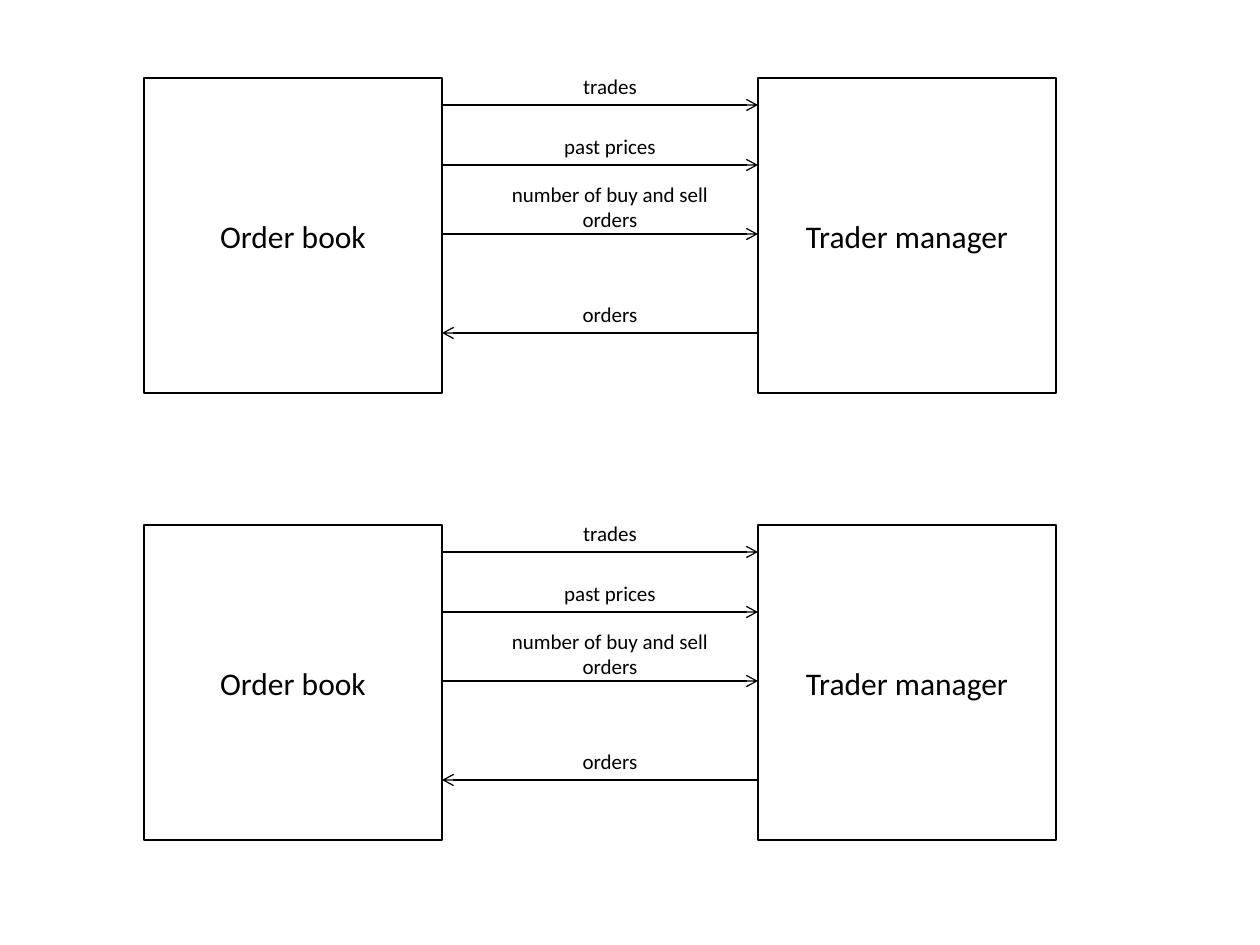
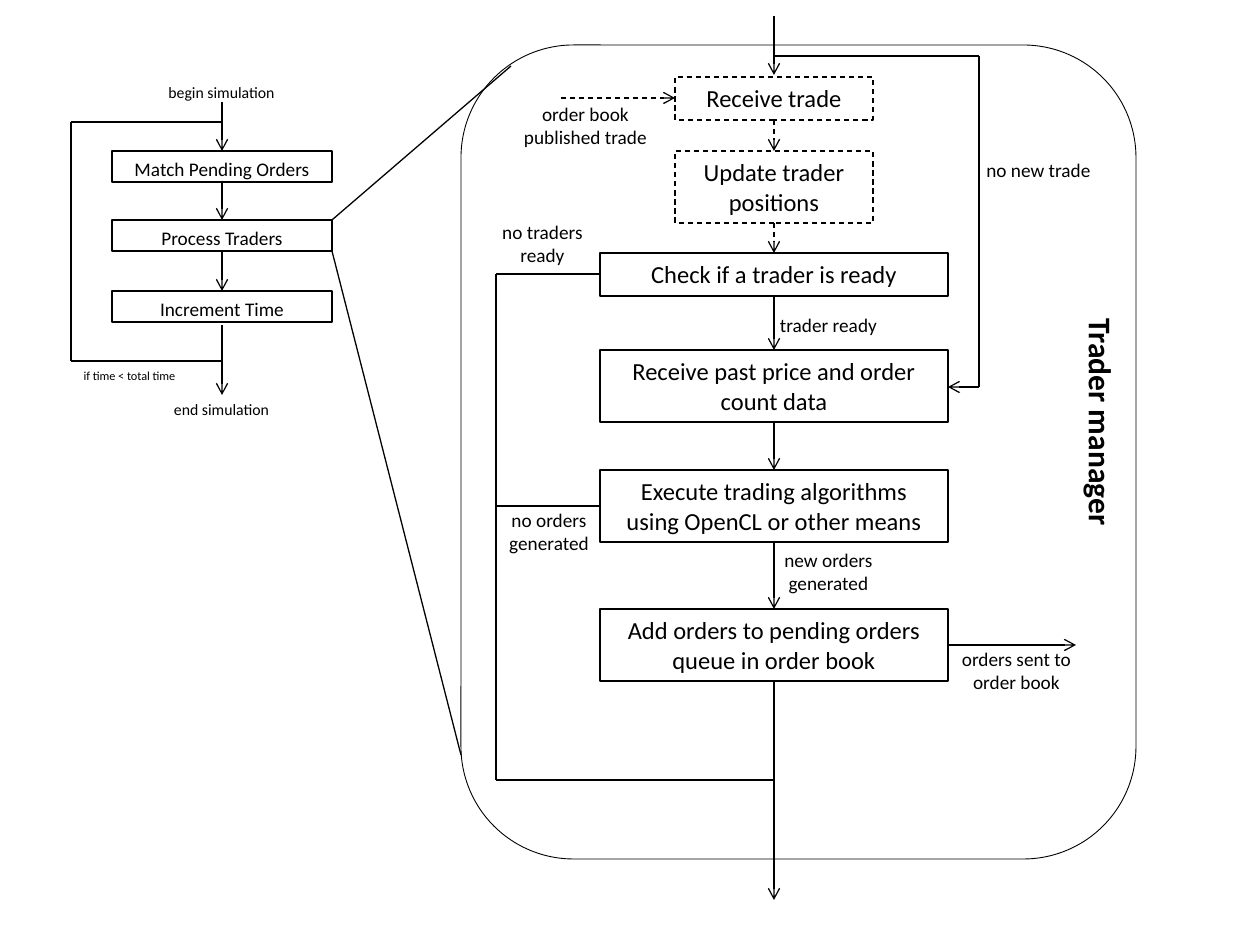
from itertools import pairwise

from lxml.etree import SubElement
from pptx import Presentation
from pptx.dml.color import RGBColor
from pptx.enum.dml import MSO_LINE
from pptx.enum.shapes import MSO_CONNECTOR, MSO_SHAPE
from pptx.enum.text import MSO_ANCHOR, PP_ALIGN
from pptx.oxml.ns import qn
from pptx.util import Emu, Pt

SCALE = 914400 / 126  # EMU in one px
INK = "000000"
PAPER = "FFFFFF"
FONT = "Calibri"


def px(n):
    return Emu(round(n * SCALE))


def color(code):
    return RGBColor.from_string(code)


class Pen:
    """Draws black outlines and Calibri text on the current slide."""

    def __init__(self, deck):
        self.deck = deck
        self.shapes = None

    def page(self):
        slide = self.deck.slides.add_slide(self.deck.slide_layouts[6])
        slide.background.fill.solid()
        slide.background.fill.fore_color.rgb = color(PAPER)
        self.shapes = slide.shapes

    def ink(self, line, width=0.75, dash=False):
        line.color.rgb = color(INK)
        line.width = Pt(width)
        if dash:
            line.dash_style = MSO_LINE.DASH

    def letter(self, shape, text, size, anchor, align=PP_ALIGN.CENTER, bold=False):
        frame = shape.text_frame
        frame.word_wrap = True
        frame.vertical_anchor = anchor
        para = frame.paragraphs[0]
        para.text = text
        para.alignment = align
        font = para.font
        font.name, font.size, font.bold = FONT, Pt(size), bold
        font.color.rgb = color(INK)

    def frame(self, x, y, w, h, kind=MSO_SHAPE.RECTANGLE, width=0.75, dash=False):
        shape = self.shapes.add_shape(kind, px(x), px(y), px(w), px(h))
        shape.shadow.inherit = False
        shape.fill.background()
        self.ink(shape.line, width, dash)
        return shape

    def box(self, x, y, w, h, text, size, anchor=MSO_ANCHOR.TOP, dash=False):
        self.letter(self.frame(x, y, w, h, dash=dash), text, size, anchor)

    def label(self, x, y, w, h, text, size, turn=0, **style):
        shape = self.shapes.add_textbox(px(x), px(y), px(w), px(h))
        shape.rotation = turn
        self.letter(shape, text, size, MSO_ANCHOR.TOP, **style)

    def line(self, start, end, head=False, dash=False):
        link = self.shapes.add_connector(
            MSO_CONNECTOR.STRAIGHT, *map(px, start), *map(px, end))
        self.ink(link.line, dash=dash)
        props = link._element.spPr
        if head:
            SubElement(props.find(qn("a:ln")), qn("a:tailEnd"), type="arrow")
        SubElement(props, qn("a:effectLst"))

    def arrow(self, start, end, dash=False):
        self.line(start, end, True, dash)

    def route(self, *points, head=False):
        """Join the points by straight lines; the last may end in an arrow."""
        for start, end in pairwise(points):
            self.line(start, end, head and end == points[-1])


def book_link(pen, top):
    """Draw the order book and the trader manager with their messages."""
    left, right, wide = 144, 758, 298
    for x, text in ((left, "Order book"), (right, "Trader manager")):
        pen.box(x, top, wide, 315, text, 18, MSO_ANCHOR.MIDDLE)
    near, far = left + wide, right
    messages = (
        ("trades", 27, -11, 38, near, far),
        ("past prices", 87, 49, 38, near, far),
        ("number of buy and sell orders", 156, 97, 63, near, far),
        ("orders", 255, 217, 38, far, near),
    )
    for text, y, up, high, start, end in messages:
        pen.arrow((start, top + y), (end, top + y))
        pen.label(481, top + up, 258, high, text, 12)


def main_loop(pen):
    mid, wide, high = 222, 220, 31
    steps = (("Match Pending Orders", 151), ("Process Traders", 220),
             ("Increment Time", 291))
    for text, y in steps:
        pen.box(mid - wide // 2, y, wide, high, text, 11)
    for (_, y), (_, below) in pairwise(steps):
        pen.arrow((mid, y + high), (mid, below))
    pen.arrow((mid, 102), (mid, 151))
    pen.arrow((mid, 325), (mid, 395))
    pen.route((mid, 361), (71, 361), (71, 122), (mid, 122))
    pen.label(132, 77, 179, 28, "begin simulation", 9)
    pen.label(132, 394, 179, 28, "end simulation", 9)
    pen.label(40, 362, 179, 24, "if time < total time", 7)


def trader_flow(pen):
    mid = 774
    pen.frame(461, 45, 675, 814, MSO_SHAPE.ROUNDED_RECTANGLE, width=0.5)
    pen.line((332, 220), (511, 66))
    pen.line((332, 251), (461, 755))
    pen.label(982, 401, 239, 50, "Trader manager", 18, turn=90,
              align=PP_ALIGN.LEFT, bold=True)

    steps = (
        ("Receive trade", 77, 43, 198, True),
        ("Update trader positions", 151, 72, 198, True),
        ("Check if a trader is ready", 253, 43, 348, False),
        ("Receive past price and order count data", 350, 72, 348, False),
        ("Execute trading algorithms using OpenCL or other means",
         470, 72, 348, False),
        ("Add orders to pending orders queue in order book",
         609, 72, 348, False),
    )
    for text, y, high, wide, dash in steps:
        pen.box(mid - wide // 2, y, wide, high, text, 14, dash=dash)
    ends = [step[1] for step in steps[1:]] + [900]
    for (_, y, high, _, dash), end in zip(steps, ends):
        pen.arrow((mid, y + high), (mid, end), dash)

    pen.arrow((mid, 16), (mid, 75))
    pen.arrow((561, 98), (675, 98), dash=True)
    pen.arrow((948, 645), (1076, 645))
    pen.route((mid, 56), (979, 56), (979, 387), (948, 387), head=True)
    pen.route((600, 274), (496, 274), (496, 780), (mid, 780))
    pen.line((600, 506), (496, 506))

    notes = (
        ("order book published trade", 496, 96, 179, 59),
        ("no new trade", 949, 152, 179, 36),
        ("trader ready", 739, 307, 179, 36),
        ("new orders generated", 739, 542, 179, 59),
        ("orders sent to order book", 927, 641, 179, 59),
        ("no traders ready", 481, 214, 123, 59),
        ("no orders generated", 471, 502, 156, 59),
    )
    for text, *place in notes:
        pen.label(*place, text, 11)


def main():
    deck = Presentation()
    deck.slide_width, deck.slide_height = px(1260), px(945)
    pen = Pen(deck)
    pen.page()
    for top in (78, 525):
        book_link(pen, top)
    pen.page()
    main_loop(pen)
    trader_flow(pen)
    deck.save("out.pptx")


if __name__ == "__main__":
    main()
